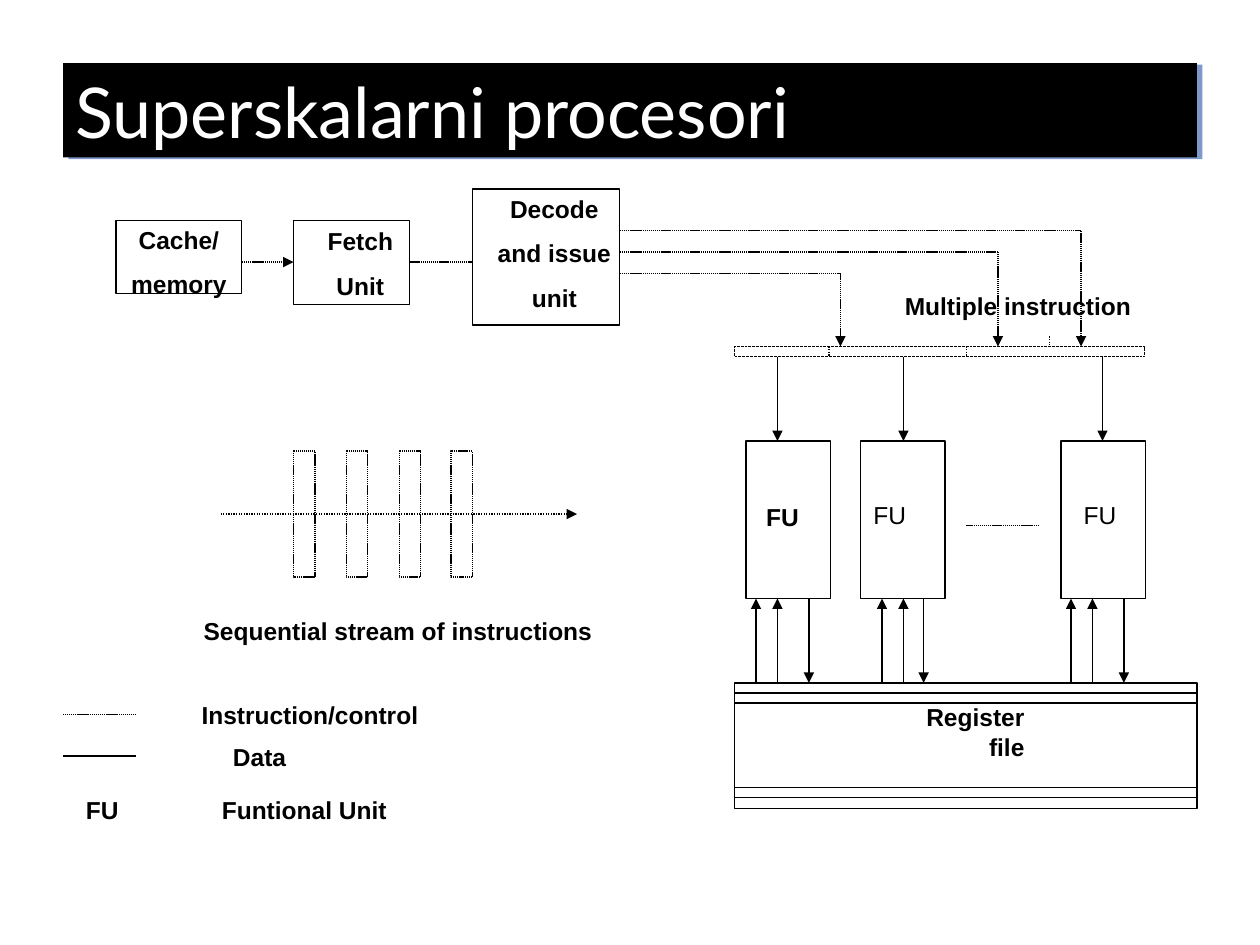
from dataclasses import dataclass
from lxml import etree
from pptx import Presentation
from pptx.dml.color import RGBColor
from pptx.enum.dml import MSO_LINE
from pptx.enum.shapes import MSO_CONNECTOR, MSO_SHAPE
from pptx.enum.text import MSO_ANCHOR, MSO_AUTO_SIZE, PP_ALIGN
from pptx.oxml import parse_xml
from pptx.oxml.ns import nsdecls, qn
from pptx.util import Inches, Pt


@dataclass
class Theme:
    ink: RGBColor = RGBColor(0, 0, 0)
    paper: RGBColor = RGBColor(255, 255, 255)
    shade: str = "003399"
    head: int = 40
    body: int = 14
    gap: float = 8.8
    thin: float = 0.75
    title: str = "Lato"
    font: str = "Arial"


theme = Theme()
FINE = "fine"  # dense dots for the control paths
DOT = MSO_LINE.ROUND_DOT

deck = Presentation()
deck.slide_width, deck.slide_height = Inches(10), Inches(7.5)
slide = deck.slides.add_slide(deck.slide_layouts[5])
shapes = slide.shapes


def stroke(shape, dash=None, width=theme.thin, arrow=False):
    line = shape.line
    line.color.rgb = theme.ink
    line.width = Pt(width)
    ln = line._get_or_add_ln()
    if dash == FINE:
        dots = etree.SubElement(ln, qn("a:custDash"))
        etree.SubElement(dots, qn("a:ds"), d="100000", sp="50000")
    elif dash:
        line.dash_style = dash
    if arrow:
        etree.SubElement(ln, qn("a:tailEnd"), type="triangle")


def link(x1, y1, x2, y2, dash=None, arrow=False):
    wire = shapes.add_connector(MSO_CONNECTOR.STRAIGHT, Inches(x1), Inches(y1),
                                Inches(x2), Inches(y2))
    stroke(wire, dash, arrow=arrow)
    etree.SubElement(wire._element.spPr, qn("a:effectLst"))


# Title bar
title = shapes.title
title.left, title.top = Inches(0.5), Inches(0.5)
title.width, title.height = Inches(9), Inches(0.75)
title.fill.solid()
title.fill.fore_color.rgb = theme.ink
title._element.spPr.append(parse_xml(
    f'<a:effectLst {nsdecls("a")}><a:outerShdw dist="40640" dir="1080000" algn="ctr" rotWithShape="0">'
    f'<a:srgbClr val="{theme.shade}"><a:alpha val="50000"/></a:srgbClr>'
    '</a:outerShdw></a:effectLst>'))
frame = title.text_frame
frame.text = "Superskalarni procesori"
frame.auto_size = MSO_AUTO_SIZE.NONE
frame.vertical_anchor = MSO_ANCHOR.MIDDLE
para = frame.paragraphs[0]
para.alignment = PP_ALIGN.LEFT
para.font.name, para.font.size = theme.title, Pt(theme.head)
para.font.color.rgb = theme.paper

# Boxes: pipeline units, register file, functional units, stream bars, issue strip
units = [5.92, 6.83, 8.42]
boxes = [
    (0.92, 1.75, 1, 0.58, None, theme.thin),
    (2.33, 1.75, 0.92, 0.67, None, theme.thin),
    (3.75, 1.5, 1.17, 1.08, None, theme.thin),
    (5.83, 5.42, 3.67, 1, None, theme.thin),
    (5.83, 2.75, 3.25, 0.08, FINE, 0.5),
]
boxes += [(x, 3.5, 0.67, 1.25, None, theme.thin) for x in units]
boxes += [(x, 3.58, 0.17, 1, FINE, theme.thin) for x in (2.33, 2.75, 3.17, 3.58)]
for x, y, w, h, dash, width in boxes:
    box = shapes.add_shape(MSO_SHAPE.RECTANGLE, Inches(x), Inches(y), Inches(w), Inches(h))
    box.shadow.inherit = False
    box.fill.background()
    stroke(box, dash, width)

# Register file rows
for y in (5.5, 5.58, 6.25, 6.33):
    link(5.83, y, 9.5, y)

# Issue strip marks
for x, y in [(6.58, 2.75), (7.67, 2.75), (8.33, 2.67)]:
    link(x, y, x, y + 0.08, DOT)

# Pipeline and instruction stream
link(1.92, 2.08, 2.33, 2.08, FINE, True)
link(3.25, 2.08, 3.75, 2.08, FINE)
link(1.75, 4.08, 4.58, 4.08, DOT, True)

# Decoder to issue strip
for x, y in [(8.58, 1.83), (7.92, 2), (6.67, 2.17)]:
    link(4.92, y, x, y, FINE)
    link(x, y, x, 2.75, FINE, True)

# Issue strip to functional units
for x in (6.17, 7.17, 8.75):
    link(x, 2.83, x, 3.5, arrow=True)

# Operands up, results down
for left, down in [(6, 6.42), (7, 7.33), (8.5, 8.92)]:
    for x in (left, left + 0.17):
        link(x, 5.42, x, 4.75, arrow=True)
    link(down, 4.75, down, 5.42, arrow=True)

# More units, and the legend lines
link(7.67, 4.17, 8.25, 4.17, FINE)
link(0.5, 5.67, 1.08, 5.67, FINE)
link(0.5, 6, 1.08, 6)

# Labels: text, left, top, width, height, align, bold, wrap
MID, END = PP_ALIGN.CENTER, PP_ALIGN.RIGHT
labels = [
    ("Cache/\nmemory", 0.92, 1.73, 1, 0.69, MID, True, True),
    ("Fetch\nUnit", 2.5, 1.74, 0.72, 0.69, MID, True, True),
    ("Decode\nand issue\nunit", 3.85, 1.48, 1.1, 1.05, MID, True, False),
    ("Multiple instruction", 6.58, 2.25, 3, 0.34, MID, True, True),
    ("Sequential stream of instructions", 1.42, 4.83, 3.48, 0.34, MID, True, True),
    ("FU", 5.98, 3.93, 0.46, 0.34, END, True, False),
    ("FU", 6.83, 3.91, 0.46, 0.34, END, False, False),
    ("FU", 8.5, 3.91, 0.46, 0.34, END, False, False),
    ("Register file", 6.92, 5.75, 1.31, 0.34, END, True, False),
    ("Instruction/control", 1.5, 5.5, 1.92, 0.34, END, True, False),
    ("Data", 1.75, 5.83, 0.62, 0.34, END, True, False),
    ("FU", 0.58, 6.25, 0.46, 0.34, END, True, False),
    ("Funtional Unit", 1.66, 6.25, 1.51, 0.34, END, True, False),
]
for text, x, y, w, h, align, bold, wrap in labels:
    frame = shapes.add_textbox(Inches(x), Inches(y), Inches(w), Inches(h)).text_frame
    frame.text = text
    frame.word_wrap = wrap
    frame.auto_size = MSO_AUTO_SIZE.SHAPE_TO_FIT_TEXT
    frame.vertical_anchor = MSO_ANCHOR.BOTTOM
    for i, para in enumerate(frame.paragraphs):
        para.alignment = align
        if i:
            para.space_before = Pt(theme.gap)
        para.font.name, para.font.size = theme.font, Pt(theme.body)
        para.font.bold = bold
        para.font.color.rgb = theme.ink

deck.save("out.pptx")
